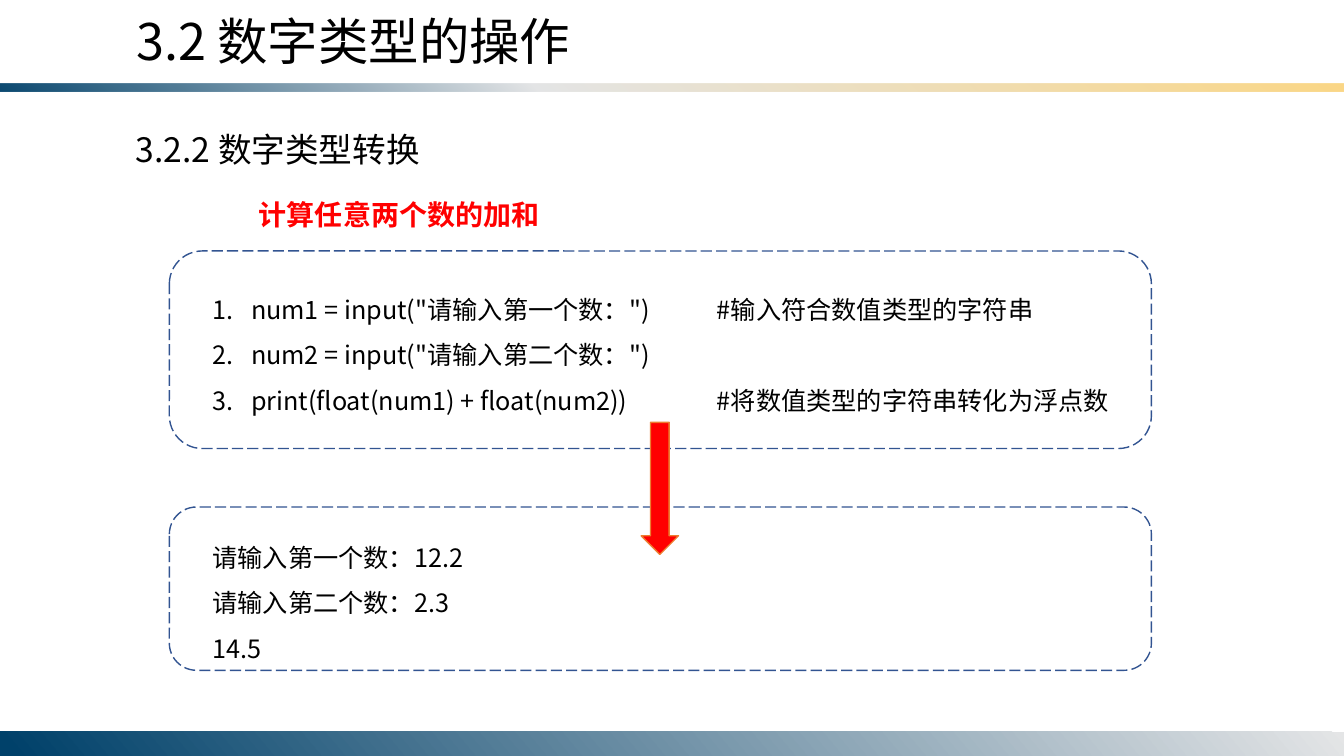
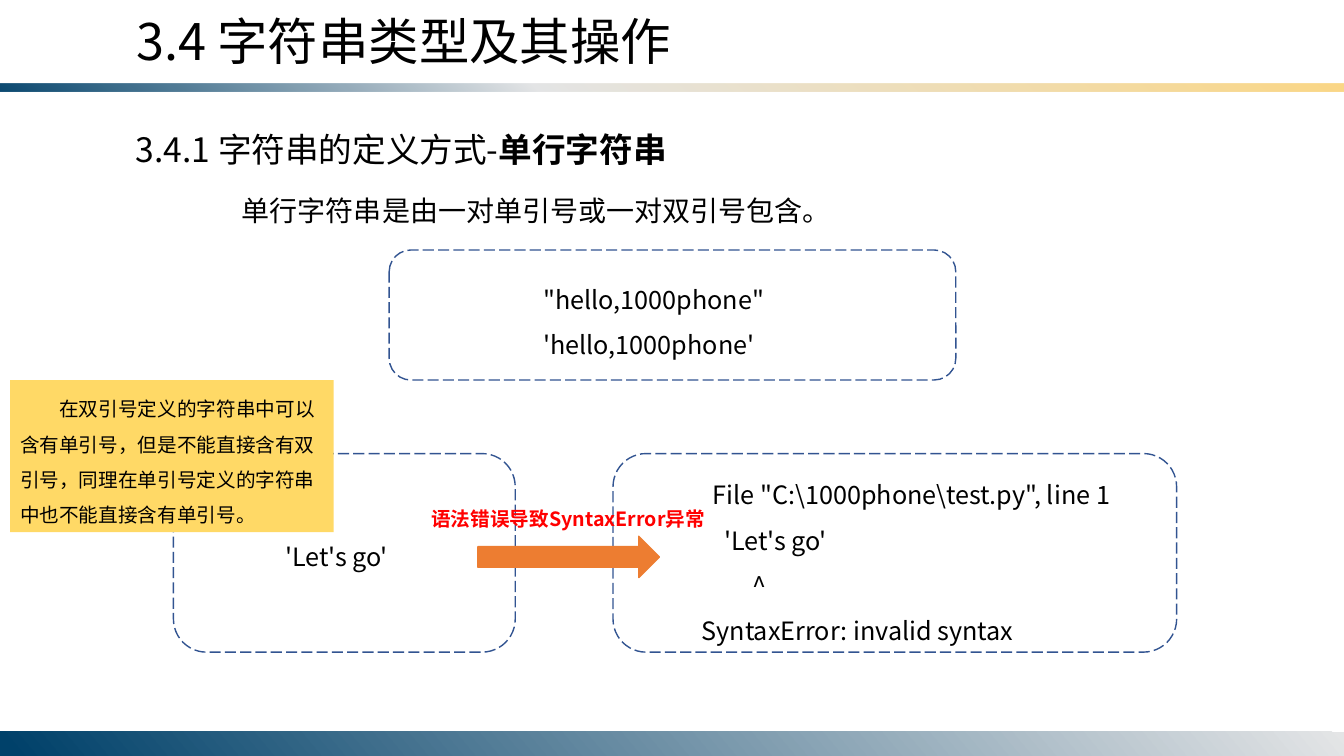
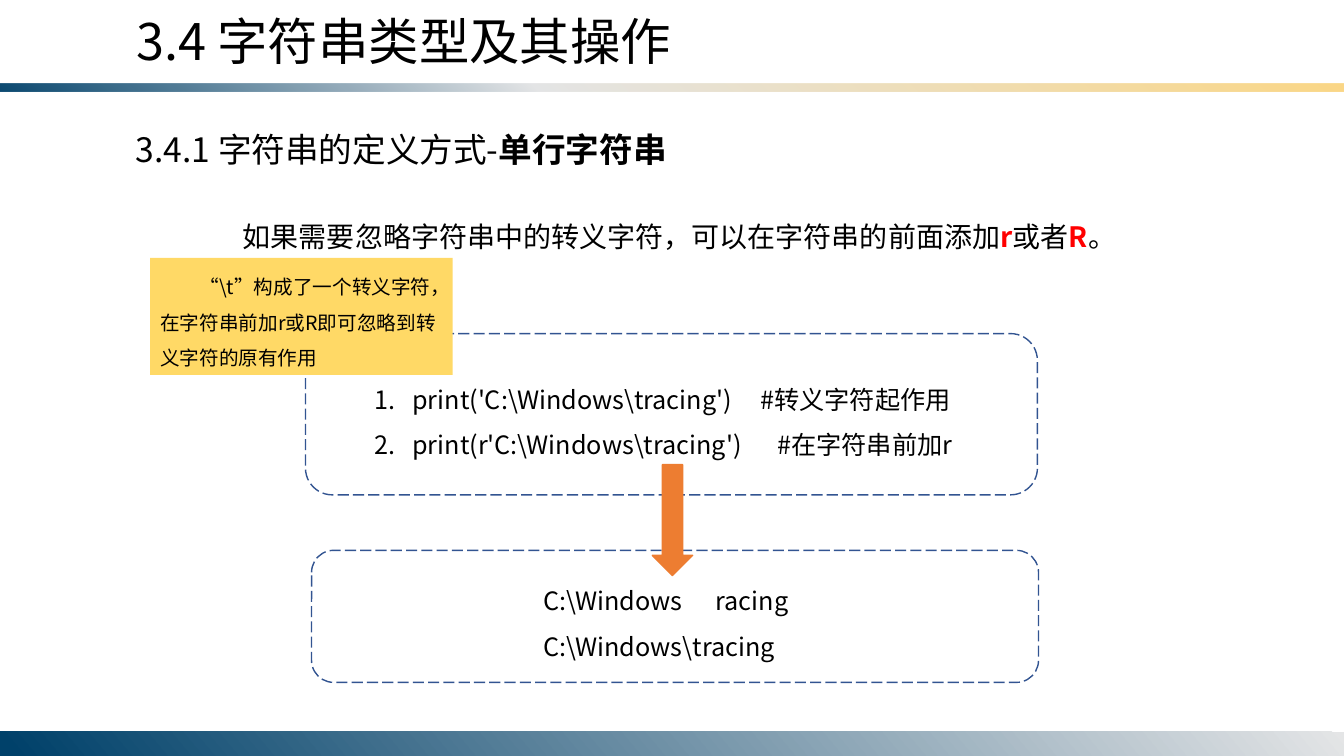
from pptx import Presentation as Deck
from pptx.dml.color import RGBColor as Rgb
from pptx.enum.dml import MSO_LINE as Dash
from pptx.enum.shapes import MSO_SHAPE as Form
from pptx.enum.text import MSO_ANCHOR as Anchor, MSO_AUTO_SIZE as Fit, PP_ALIGN as Align
from pptx.oxml import parse_xml as to_xml
from pptx.util import Inches, Pt
from lxml.etree import SubElement as Sub

NS = "http://schemas.openxmlformats.org/drawingml/2006/main"
WIDE, HIGH = 13.33, 7.5
THEME = {
    "font": "Noto Sans CJK SC",
    "ink": "000000", "red": "FF0000", "orange": "ED7D31",
    "blue": "325491", "note": "FFD966",
}
STYLE = {
    "title": {"size": 36},
    "head": {"size": 24},
    "lead": {"size": 20, "first": 0.56, "gap": 1.5},
    "plain": {"size": 20, "first": 0.56},
    "warn": {"size": 20, "first": 0.56, "gap": 1.5, "ink": "red", "bold": True},
    "code": {"size": 18, "gap": 1.5},
    "list": {"size": 18, "gap": 1.5, "left": 0.38, "first": -0.38, "num": True},
    "quote": {"size": 18, "first": 0.29, "gap": 1.5},
    "line": {"size": 18, "first": 0.29},
    "note": {"size": 14, "first": 0.39, "gap": 1.5},
    "error": {"size": 14, "ink": "red", "bold": True},
}
BANDS = [
    ((0, 0.83, WIDE, 0.08), 50, True,
     [(0, "00416A", 95), (40, "E4E5E6", 100), (100, "FBD786", 100)]),
    ((0, 7.26, WIDE, 0.24), 140, False,
     [(0, "E4E5E6", 100), (99, "00416A", 100)]),
]
TITLE_AT = (1.25, 0.05, 6.12, 1.31)
HEAD_AT = (1.25, 1.23, 6.38, 0.5)
RED = {"ink": "red", "bold": True}
STRONG = {"bold": True}
TEXT_TITLE = "3.4 字符串类型及其操作"
TEXT_HEAD = [("3.4.1 字符串的定义方式-", {}), ("单行字符串", STRONG)]

PAGES = [
    {
        "title": "3.2 数字类型的操作",
        "head": "3.2.2 数字类型转换",
        "body": ("list", (2.01, 2.72, 9.32, 1.46), [
            'num1 = input("请输入第一个数：")\t#输入符合数值类型的字符串',
            'num2 = input("请输入第二个数：")',
            "print(float(num1) + float(num2))\t#将数值类型的字符串转化为浮点数",
        ]),
        "texts": [
            ("warn", (1.91, 1.74, 5.56, 0.6), ["计算任意两个数的加和"]),
            ("code", (2.01, 5.18, 5.56, 1.46),
             ["请输入第一个数：12.2", "请输入第二个数：2.3", "14.5"]),
        ],
        "frames": [(1.68, 2.49, 9.74, 1.96), (1.68, 5.03, 9.74, 1.62)],
        "arrow": (Form.DOWN_ARROW, (6.36, 4.19, 0.37, 1.31), "red"),
    },
    {
        "title": TEXT_TITLE,
        "head": TEXT_HEAD,
        "body": ("code", (5.29, 2.62, 2.76, 1.01),
                 ['"hello,1000phone"', "'hello,1000phone'"]),
        "texts": [
            ("plain", (1.74, 1.87, 9.67, 0.44),
             ["单行字符串是由一对单引号或一对双引号包含。"]),
            ("line", (2.44, 5.32, 2.21, 0.4), ["'Let's go'"]),
            ("code", (6.86, 4.56, 5.56, 1.92), [
                r'  File "C:\1000phone\test.py", line 1',
                "    'Let's go'",
                "         ^",
                "SyntaxError: invalid syntax",
            ]),
        ],
        "frames": [(3.86, 2.48, 5.62, 1.29), (1.72, 4.5, 3.39, 1.97),
                   (6.08, 4.5, 5.59, 1.97)],
        "note": ((0.1, 3.77, 3.21, 1.51),
                 "在双引号定义的字符串中可以含有单引号，但是不能直接含有双引号，"
                 "同理在单引号定义的字符串中也不能直接含有单引号。"),
        "arrow": (Form.RIGHT_ARROW, (4.74, 5.32, 1.8, 0.41), "orange"),
        "label": ((4.18, 4.98, 2.93, 0.34), "语法错误导致SyntaxError异常"),
    },
    {
        "title": TEXT_TITLE,
        "head": TEXT_HEAD,
        "body": ("list", (3.61, 3.61, 6.12, 1.01), [
            r"print('C:\Windows\tracing')     #转义字符起作用",
            r"print(r'C:\Windows\tracing')" + "\t#在字符串前加r",
        ]),
        "texts": [
            ("lead", (1.75, 1.96, 9.82, 0.6), [[
                ("如果需要忽略字符串中的转义字符，可以在字符串的前面添加", {}),
                ("r", RED), ("或者", {}), ("R", RED), ("。", {}),
            ]]),
            ("quote", (5, 5.61, 3.39, 1.01),
             ["C:\\Windows\tracing", r"C:\Windows\tracing"]),
        ],
        "frames": [(3.03, 3.31, 7.26, 1.6), (3.09, 5.46, 7.21, 1.31)],
        "note": ((1.49, 2.56, 3, 1.16),
                 r"“\t”构成了一个转义字符，在字符串前加r或R即可忽略到转义字符的原有作用"),
        "arrow": (Form.DOWN_ARROW, (6.47, 4.61, 0.4, 1.1), "orange"),
    },
]


def put(item, vals):
    for key, val in vals.items():
        setattr(item, key, val)


def tint(name):
    return Rgb.from_string(THEME[name])


def span(at):
    return [Inches(n) for n in at]


def write(shape, paras, kind, anchor=Anchor.TOP):
    look = STYLE[kind]
    frame = shape.text_frame
    put(frame, {"word_wrap": True, "auto_size": Fit.NONE, "vertical_anchor": anchor})
    for i, runs in enumerate(paras):
        para = frame.add_paragraph() if i else frame.paragraphs[0]
        props = para._p.get_or_add_pPr()
        for key, val in (("marL", look.get("left", 0)), ("indent", look.get("first", 0)),
                         ("defTabSz", 1)):
            props.set(key, str(int(Inches(val))))
        if look.get("num"):
            Sub(props, f"{{{NS}}}buAutoNum", type="arabicPeriod")
        else:
            Sub(props, f"{{{NS}}}buNone")
        put(para, {"alignment": Align.LEFT, "line_spacing": look.get("gap", 1.0),
                   "space_before": Pt(0), "space_after": Pt(0)})
        for text, extra in [(runs, {})] if isinstance(runs, str) else runs:
            mix = {**look, **extra}
            run = para.add_run()
            run.text = text
            put(run.font, {"name": THEME["font"], "size": Pt(mix["size"]),
                           "bold": mix.get("bold", False)})
            run.font.color.rgb = tint(mix.get("ink", "ink"))
            Sub(run._r.rPr, f"{{{NS}}}ea", typeface=THEME["font"])


def fill_in(holder, at, paras, kind):
    put(holder, dict(zip(("left", "top", "width", "height"), span(at))))
    write(holder, paras, kind)


def add_text(slide, at, paras, kind):
    write(slide.shapes.add_textbox(*span(at)), paras, kind)


def add_form(slide, form, at, fill=None, edge=None, dash=None):
    shape = slide.shapes.add_shape(form, *span(at))
    shape.shadow.inherit = False
    if fill:
        shape.fill.solid()
        shape.fill.fore_color.rgb = tint(fill)
    else:
        shape.fill.background()
    if edge:
        shape.line.color.rgb = tint(edge)
        put(shape.line, {"width": Pt(1), "dash_style": dash})
    else:
        shape.line.fill.background()
    return shape


def add_bands(slide, layout):
    for i, (at, angle, flip, stops) in enumerate(BANDS):
        item = add_form(slide, Form.RECTANGLE, at)._element
        marks = "".join(
            f'<a:gs pos="{pos * 1000}"><a:srgbClr val="{shade}">'
            f'<a:alpha val="{alpha * 1000}"/></a:srgbClr></a:gs>'
            for pos, shade, alpha in stops)
        grad = to_xml(f'<a:gradFill xmlns:a="{NS}" rotWithShape="1"><a:gsLst>{marks}</a:gsLst>'
                      f'<a:lin ang="{angle * 60000}" scaled="0"/></a:gradFill>')
        props = item.spPr
        props.replace(props.find(f"{{{NS}}}noFill"), grad)
        if flip:
            props.xfrm.set("flipV", "1")
        item.nvSpPr.cNvPr.set("id", str(90 + i))
        layout.shapes._spTree.insert(2 + i, item)


def build(slide, page):
    fill_in(slide.shapes.title, TITLE_AT, [page["title"]], "title")
    kind, at, paras = page["body"]
    fill_in(slide.placeholders[1], at, paras, kind)
    add_text(slide, HEAD_AT, [page["head"]], "head")
    for kind, at, paras in page["texts"]:
        add_text(slide, at, paras, kind)
    for at in page["frames"]:
        add_form(slide, Form.ROUNDED_RECTANGLE, at, edge="blue", dash=Dash.LONG_DASH)
    if "note" in page:
        at, text = page["note"]
        note = add_form(slide, Form.RECTANGLE, at, "note")
        write(note, [text], "note", Anchor.MIDDLE)
    form, at, fill = page["arrow"]
    add_form(slide, form, at, fill, "orange")
    if "label" in page:
        at, text = page["label"]
        add_text(slide, at, [text], "error")


def main():
    deck = Deck()
    put(deck, {"slide_width": Inches(WIDE), "slide_height": Inches(HIGH)})
    layout = deck.slide_layouts[1]
    slides = [deck.slides.add_slide(layout) for _ in PAGES]
    add_bands(slides[0], layout)
    for slide, page in zip(slides, PAGES):
        build(slide, page)
    deck.save("out.pptx")


if __name__ == "__main__":
    main()
